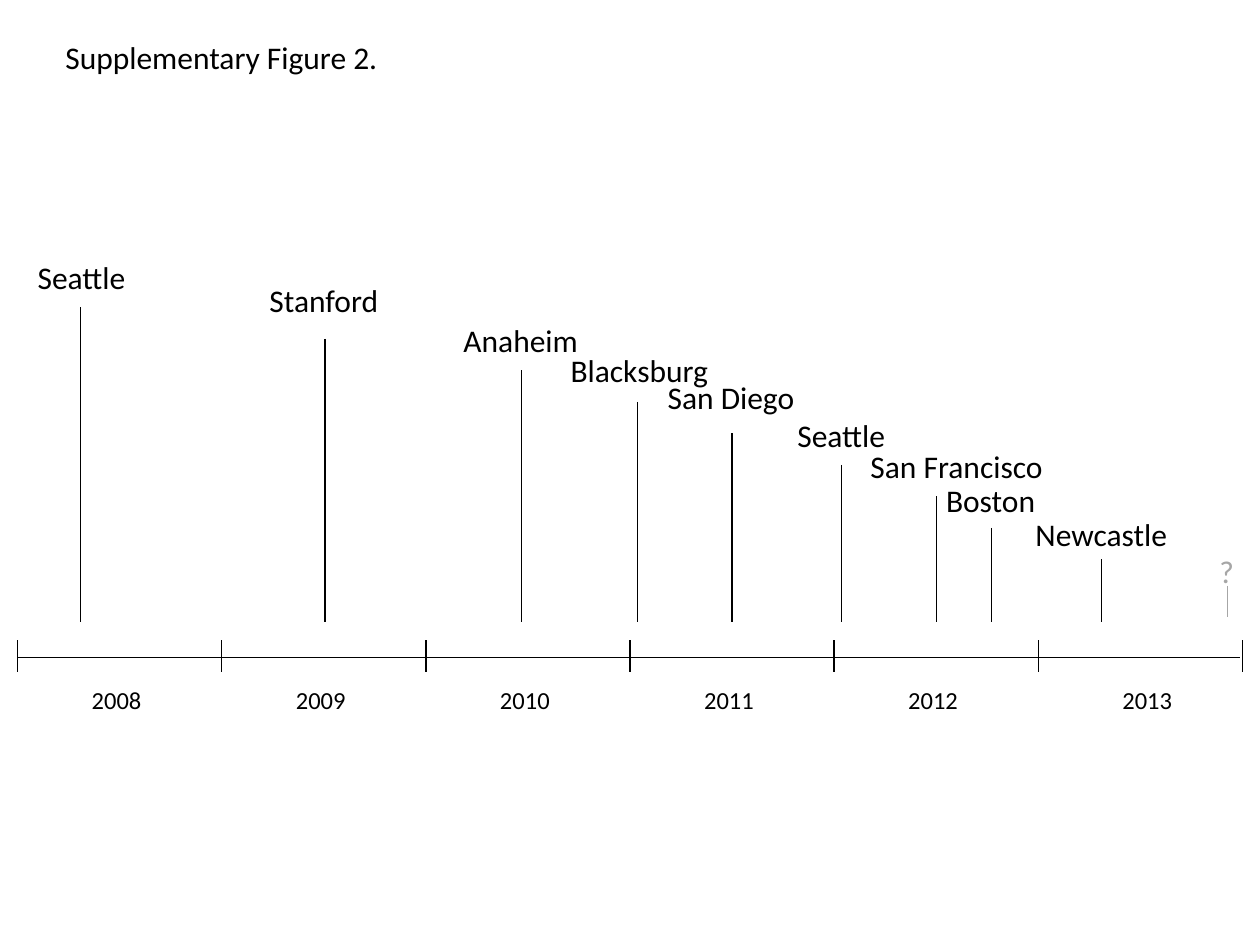
"""Build a timeline slide of meeting cities from 2008 to 2013."""
from lxml.etree import SubElement
from pptx import Presentation
from pptx.dml.color import RGBColor
from pptx.enum.shapes import MSO_CONNECTOR
from pptx.enum.text import MSO_AUTO_SIZE
from pptx.oxml.ns import qn
from pptx.util import Inches, Pt

BLACK = RGBColor(0x00, 0x00, 0x00)
GRAY = RGBColor(0xA6, 0xA6, 0xA6)

prs = Presentation()
prs.slide_width = Inches(10)
prs.slide_height = Inches(7.5)
slide = prs.slides.add_slide(prs.slide_layouts[6])


def add_label(text, left, top, width, height=0.4, size=18, color=BLACK):
    label = slide.shapes.add_textbox(
        Inches(left), Inches(top), Inches(width), Inches(height))
    frame = label.text_frame
    frame.word_wrap = False
    frame.auto_size = MSO_AUTO_SIZE.SHAPE_TO_FIT_TEXT
    frame.text = text
    font = frame.paragraphs[0].runs[0].font
    font.name = "Calibri"
    font.size = Pt(size)
    font.color.rgb = color


def add_line(x1, y1, x2, y2, color=BLACK):
    line = slide.shapes.add_connector(
        MSO_CONNECTOR.STRAIGHT, Inches(x1), Inches(y1), Inches(x2), Inches(y2))
    line.line.color.rgb = color
    line.line.width = Pt(0.75)
    SubElement(line._element.spPr, qn("a:effectLst"))


add_label("Supplementary Figure 2.", 0.42, 0.25, 2.71)

axis_left, axis_y = 0.14, 5.22
add_line(axis_left, axis_y, 9.84, axis_y)
year_step = 1.62
for boundary in range(7):
    tick_x = axis_left + boundary * year_step
    add_line(tick_x, 5.08, tick_x, 5.33)

year_lefts = [0.63 + i * year_step for i in range(5)] + [8.81]
for year, left in enumerate(year_lefts, start=2008):
    add_label(str(year), left, 5.39, 0.6, height=0.34, size=14)

meetings = [
    ("Seattle", 0.64, 0.2, 2, 0.91),
    ("Stanford", 2.58, 2.04, 2.18, 1.07),
    ("Anaheim", 4.14, 3.58, 2.5, 1.12),
    ("Blacksburg", 5.06, 4.43, 2.74, 1.3),
    ("San Diego", 5.81, 5.2, 2.95, 1.22),
    ("Seattle", 6.68, 6.23, 3.25, 0.91),
    ("San Francisco", 7.43, 6.81, 3.5, 1.58),
    ("Boston", 7.87, 7.41, 3.77, 0.92),
    ("Newcastle", 8.74, 8.12, 4.04, 1.26),
]
for order, (city, stem_x, left, top, width) in enumerate(meetings):
    add_label(city, left, top, width)
    add_line(stem_x, 2.44 + order * 0.25, stem_x, 4.94)

add_label("?", 9.58, 4.33, 0.32, color=GRAY)
add_line(9.74, 4.65, 9.74, 4.9, color=GRAY)

prs.save("out.pptx")
